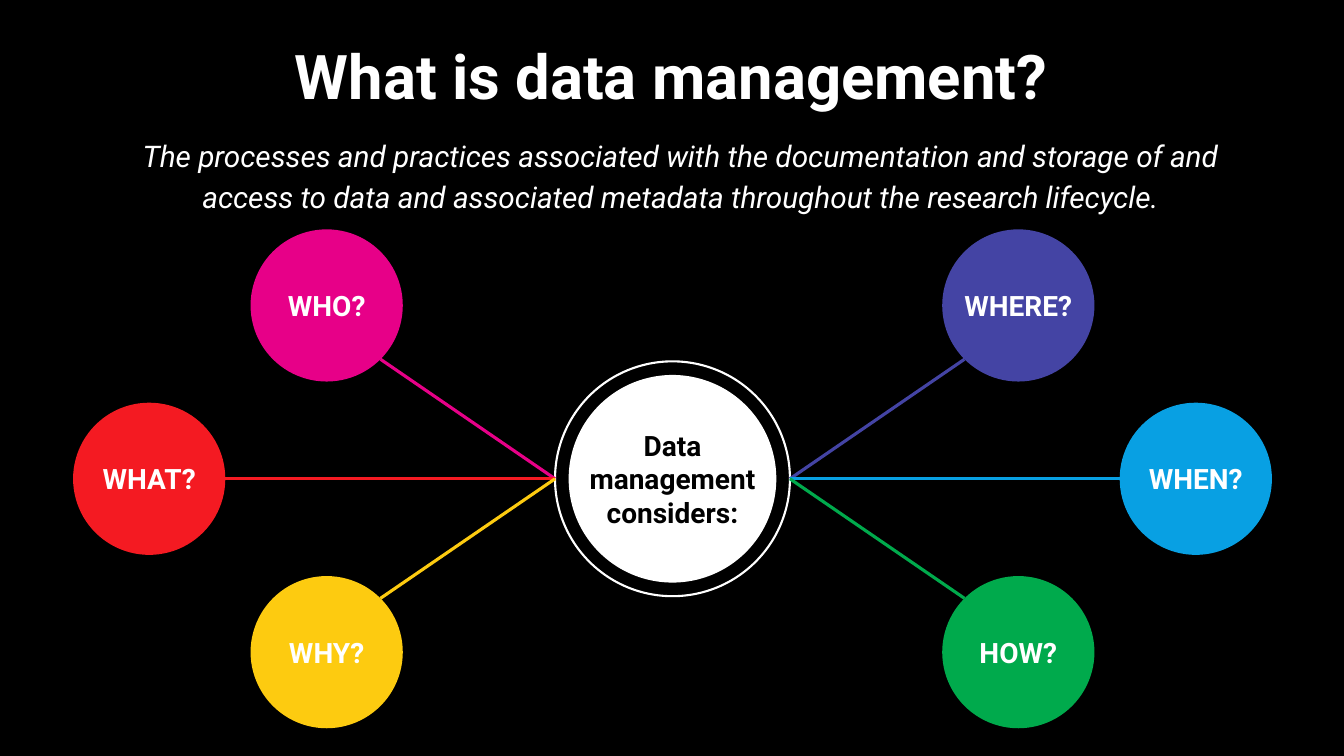
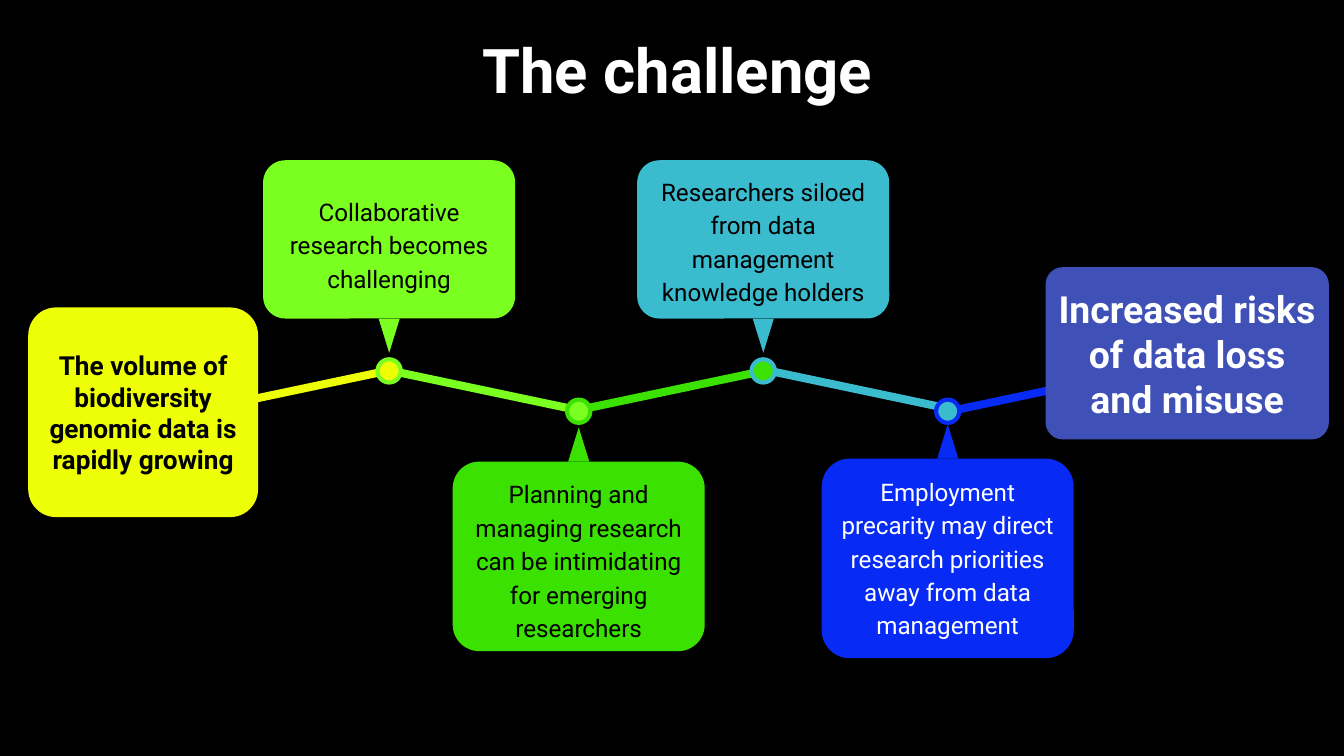
from dataclasses import dataclass
from math import cos, pi, sin

from lxml.etree import SubElement
from pptx import Presentation
from pptx.dml.color import RGBColor
from pptx.enum.shapes import MSO_CONNECTOR, MSO_SHAPE
from pptx.enum.text import MSO_ANCHOR, PP_ALIGN
from pptx.oxml.ns import qn
from pptx.util import Inches, Pt


@dataclass(frozen=True)
class Theme:
    font: str = "Roboto"
    # Colours
    black: str = "000000"
    white: str = "FFFFFF"
    magenta: str = "E70088"
    red: str = "F41A22"
    amber: str = "FDCB10"
    green: str = "00AA4C"
    sky: str = "08A0E3"
    violet: str = "4444A4"
    yellow: str = "EEFE07"
    lime: str = "7BFF20"
    leaf: str = "3BE201"
    teal: str = "3ABBCE"
    blue: str = "072BF4"
    indigo: str = "3F51B6"
    # Type sizes
    title: float = 44
    outcome: float = 26.7
    definition: float = 21.3
    label: float = 20
    cause: float = 18.7
    card: float = 17.3


THEME = Theme()


def color(value):
    return RGBColor.from_string(value)


# Shared elements
def write(frame, text, size, ink=THEME.white, bold=False, italic=False,
          anchor=MSO_ANCHOR.TOP, spacing=1.0, inset=(0.13, 0.13), wrap=True):
    """Put one centred paragraph in a frame; inset is (sides, top and bottom)."""
    frame.word_wrap = wrap
    frame.vertical_anchor = anchor
    frame.margin_left = frame.margin_right = Inches(inset[0])
    frame.margin_top = frame.margin_bottom = Inches(inset[1])
    para = frame.paragraphs[0]
    para.alignment = PP_ALIGN.CENTER
    para.line_spacing = spacing
    span = para.add_run()
    span.text = text
    span.font.name = THEME.font
    span.font.size = Pt(size)
    span.font.bold = bold
    span.font.italic = italic
    span.font.color.rgb = color(ink)


def add_text(page, text, left, top, width, height, **style):
    box = page.shapes.add_textbox(Inches(left), Inches(top), Inches(width), Inches(height))
    write(box.text_frame, text, **style)


def add_filled(page, kind, left, top, width, height, fill,
               outline=None, weight=0, rotation=0, corner=None):
    shape = page.shapes.add_shape(kind, Inches(left), Inches(top), Inches(width), Inches(height))
    shape.shadow.inherit = False
    shape.fill.solid()
    shape.fill.fore_color.rgb = color(fill)
    if outline:
        shape.line.color.rgb = color(outline)
        shape.line.width = Pt(weight)
    else:
        shape.line.fill.background()
    shape.rotation = rotation
    if corner is not None:
        shape.adjustments[0] = corner
    return shape


def add_disc(page, x, y, radius, fill, **style):
    return add_filled(page, MSO_SHAPE.OVAL, x - radius, y - radius,
                      2 * radius, 2 * radius, fill, **style)


def add_line(page, start, end, stroke, weight):
    line = page.shapes.add_connector(
        MSO_CONNECTOR.STRAIGHT, *(Inches(value) for value in (*start, *end)))
    line.line.color.rgb = color(stroke)
    line.line.width = Pt(weight)
    SubElement(line._element.spPr, qn("a:effectLst"))


def add_page(deck, title, left, top):
    page = deck.slides.add_slide(deck.slide_layouts[6])
    page.background.fill.solid()
    page.background.fill.fore_color.rgb = color(THEME.black)
    add_text(page, title, left, top, 12.42, 0.84, size=THEME.title, bold=True)
    return page


# Hub and spokes
def add_topic(page, hub, hub_radius, text, fill, side, row):
    """Side is -1 (left) or 1 (right); row is -1 (top), 0 or 1 (bottom)."""
    radius = 0.755
    x = hub[0] + side * (3.43 if row else 5.19)
    y = hub[1] + row * 1.72
    disc = add_disc(page, x, y, radius, fill)
    write(disc.text_frame, text, THEME.label, bold=True, anchor=MSO_ANCHOR.MIDDLE,
          inset=(0, 0), wrap=False)
    angle = row * pi / 4
    rim = (x - side * radius * cos(angle), y - radius * sin(angle))
    add_line(page, (hub[0] + side * hub_radius, hub[1]), rim, fill, 2.25)


def build_definition(deck):
    page = add_page(deck, "What is data management?", 0.45, 0.25)
    add_text(page, "The processes and practices associated with the documentation and "
             "storage of and access to data and associated metadata throughout the "
             "research lifecycle.", 0.98, 1.18, 11.54, 1.1,
             size=THEME.definition, italic=True, spacing=1.15)

    hub, ring, core = (6.67, 4.75), 1.165, 1.03
    add_disc(page, *hub, ring, THEME.black, outline=THEME.white, weight=1.5)
    add_disc(page, *hub, core, THEME.white)
    add_text(page, "Data management considers:", hub[0] - core, hub[1] - 0.64,
             2 * core, 1.28, size=THEME.label, ink=THEME.black, bold=True,
             anchor=MSO_ANCHOR.MIDDLE)

    topics = [
        ("WHO?", THEME.magenta, -1, -1),
        ("WHAT?", THEME.red, -1, 0),
        ("WHY?", THEME.amber, -1, 1),
        ("WHERE?", THEME.violet, 1, -1),
        ("WHEN?", THEME.sky, 1, 0),
        ("HOW?", THEME.green, 1, 1),
    ]
    for topic in topics:
        add_topic(page, hub, ring, *topic)


# Zigzag of causes
def add_card(page, text, left, top, width, height, fill, corner, **style):
    card = add_filled(page, MSO_SHAPE.ROUNDED_RECTANGLE, left, top, width, height,
                      fill, corner=corner)
    write(card.text_frame, text, **style)


def add_step(page, text, x, top, height, fill, core, above, ink, padding):
    """A card with a pointer to its knot on the zigzag."""
    add_card(page, text, x - 1.25, top, 2.5, height, fill, 0.14,
             size=THEME.card, ink=ink, spacing=1.15, inset=(0.08, padding))
    pointer_top = top + height if above else top - 0.34
    add_filled(page, MSO_SHAPE.ISOSCELES_TRIANGLE, x - 0.105, pointer_top, 0.21, 0.34,
               fill, rotation=180 if above else 0)
    add_disc(page, x, 3.68 if above else 4.08, 0.115, core, outline=fill, weight=3)


def build_challenge(deck):
    page = add_page(deck, "The challenge", 0.51, 0.19)

    # Bars, alternately rising and falling
    path_colors = [THEME.yellow, THEME.lime, THEME.leaf, THEME.teal, THEME.blue]
    for index, (left, fill) in enumerate(zip((1.95, 3.8, 5.69, 7.55, 9.43), path_colors)):
        add_filled(page, MSO_SHAPE.ROUNDED_RECTANGLE, left, 3.83, 1.97, 0.08, fill,
                   rotation=11.9 if index % 2 else -11.9, corner=0.5)

    # Start and outcome
    add_card(page, "The volume of biodiversity genomic data is rapidly growing",
             0.28, 3.05, 2.28, 2.08, THEME.yellow, 0.133, size=THEME.cause,
             ink=THEME.black, bold=True, anchor=MSO_ANCHOR.MIDDLE, inset=(0.07, 0.07))
    add_card(page, "Increased risks of data loss and misuse",
             10.37, 2.65, 2.81, 1.71, THEME.indigo, 0.1, size=THEME.outcome,
             bold=True, anchor=MSO_ANCHOR.MIDDLE, inset=(0.07, 0.07))

    # Steps between them: text, knot centre, card top and height, ink, padding
    steps = [
        ("Collaborative research becomes challenging",
         3.86, 1.59, 1.57, THEME.black, 0.26),
        ("Planning and managing research can be intimidating for emerging researchers",
         5.74, 4.58, 1.88, THEME.black, 0.06),
        ("Researchers siloed from data management knowledge holders",
         7.57, 1.59, 1.57, THEME.black, 0.06),
        ("Employment precarity may direct research priorities away from data management",
         9.4, 4.55, 1.98, THEME.white, 0.06),
    ]
    for index, (text, x, top, height, ink, padding) in enumerate(steps):
        add_step(page, text, x, top, height, path_colors[index + 1], path_colors[index],
                 above=index % 2 == 0, ink=ink, padding=padding)


def main():
    deck = Presentation()
    deck.slide_width, deck.slide_height = Inches(13.33), Inches(7.5)
    build_definition(deck)
    build_challenge(deck)
    deck.save("out.pptx")


if __name__ == "__main__":
    main()
